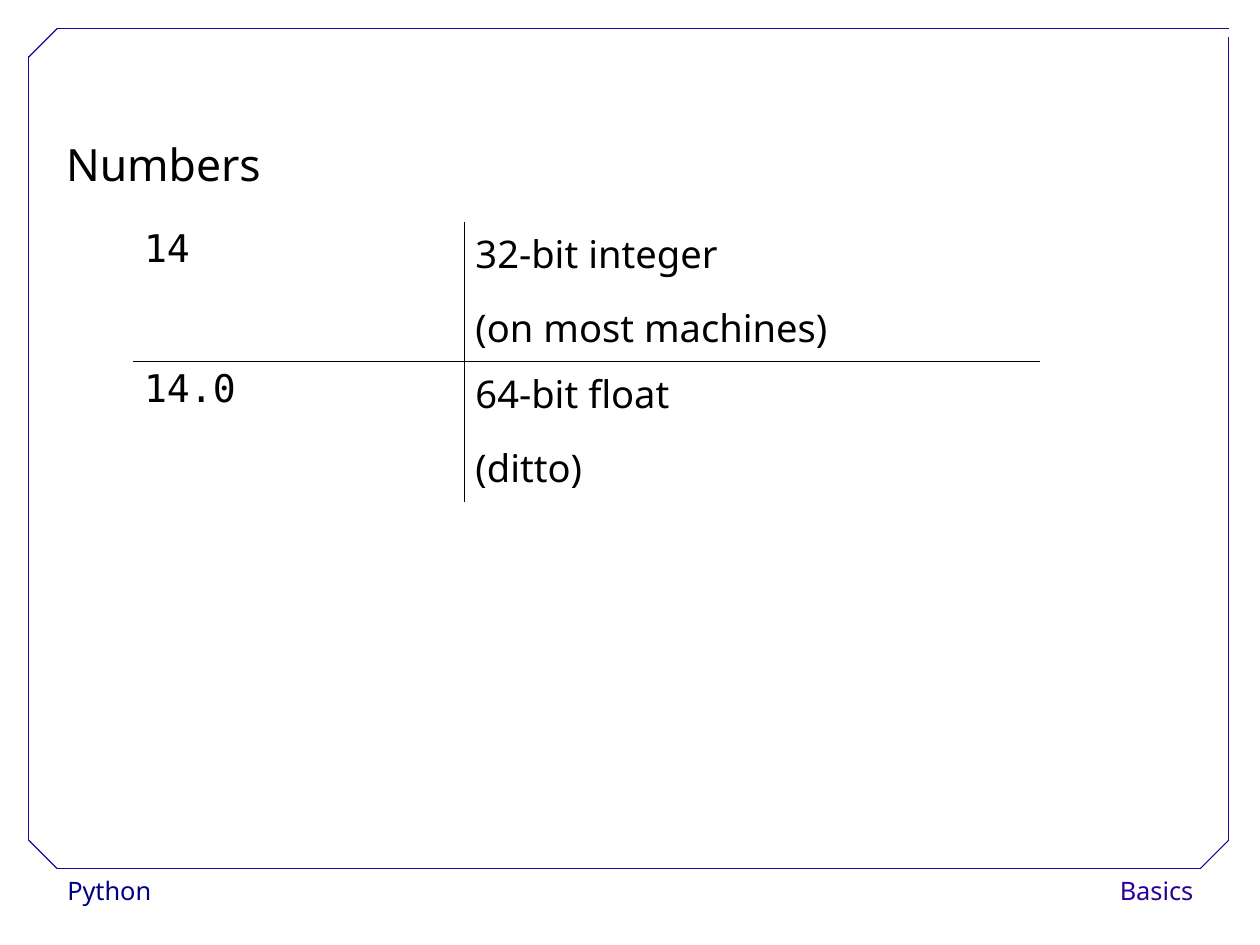
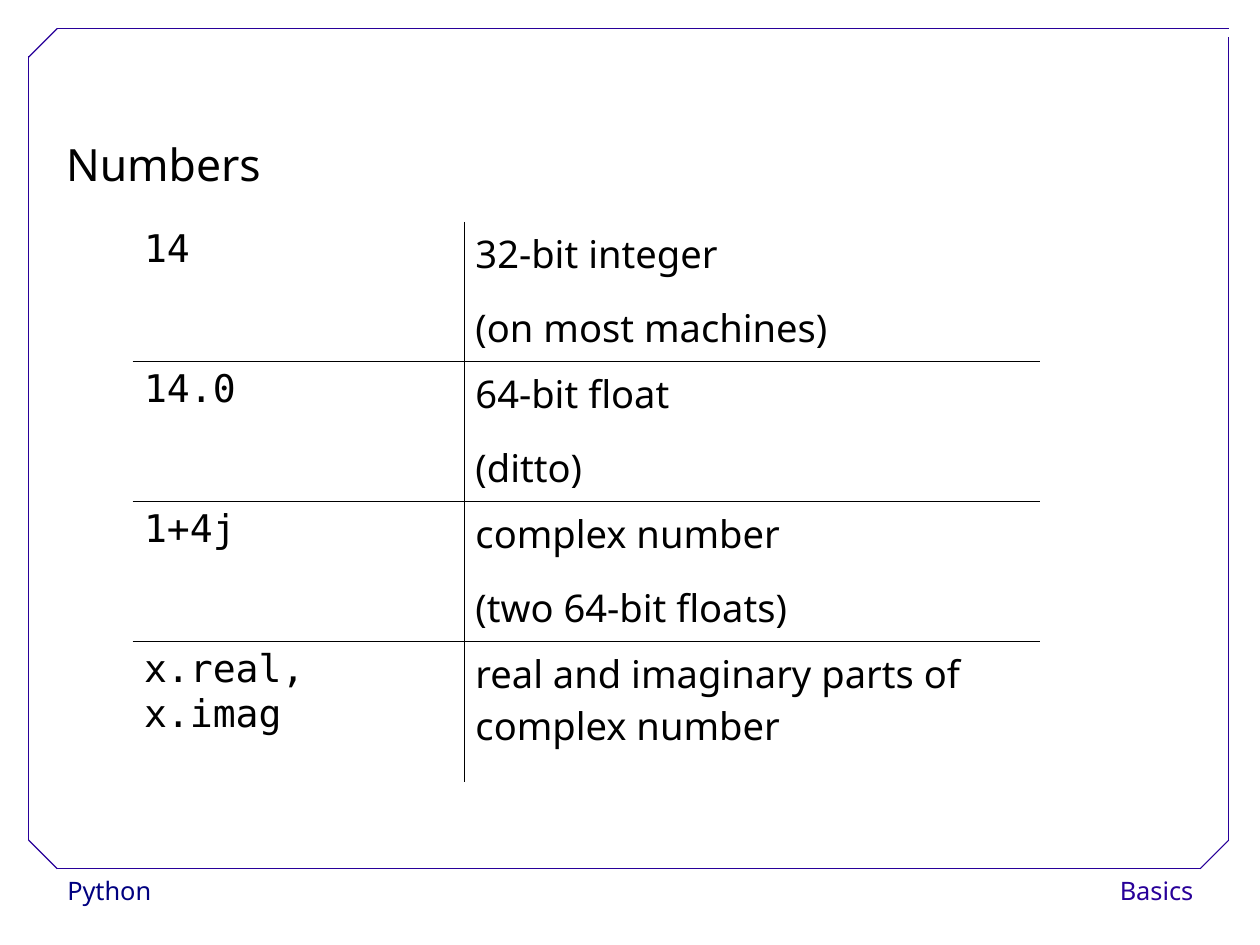
from lxml.etree import SubElement
from pptx import Presentation
from pptx.dml.color import RGBColor
from pptx.enum.shapes import MSO_CONNECTOR, MSO_SHAPE
from pptx.enum.text import MSO_ANCHOR, PP_ALIGN
from pptx.oxml import parse_xml
from pptx.oxml.ns import nsdecls, qn
from pptx.util import Inches, Pt

COLORS = {"ink": "000000", "paper": "FFFFFF", "frame": "280099", "course": "000080"}
SANS = "Noto Sans"
MONO = "DejaVu Sans Mono"
CM_PER_INCH = 2.54
COLUMN_WIDTHS = (2.9, 5.04)
ROW_HEIGHT = Inches(2.45) // 2

FRAME_LINES = (
    ((0.5, 7.6), (10.5, 7.6)),
    ((0.25, 7.35), (0.25, 0.49)),
    ((0.5, 0.25), (10.75, 0.25)),
    ((10.75, 7.35), (10.75, 0.32)),
    ((0.25, 0.5), (0.5, 0.25)),
    ((10.5, 7.6), (10.75, 7.35)),
    ((0.25, 7.35), (0.5, 7.6)),
)

NUMBER_ROWS = (
    ("14", "32-bit integer\n(on most machines)"),
    ("14.0", "64-bit float\n(ditto)"),
    ("1+4j", "complex number\n(two 64-bit floats)"),
    ("x.real, x.imag", "real and imaginary parts of complex number"),
)


def rgb(name):
    return RGBColor.from_string(COLORS[name])


def set_font(paragraph, size, color="ink", name=SANS):
    paragraph.font.size = Pt(size)
    paragraph.font.name = name
    paragraph.font.color.rgb = rgb(color)


def add_frame_line(slide, start, end):
    points = [Inches(value) for value in start + end]
    connector = slide.shapes.add_connector(MSO_CONNECTOR.STRAIGHT, *points)
    connector.line.color.rgb = rgb("frame")
    connector.line.width = Pt(0.75)
    SubElement(connector._element.spPr, qn("a:effectLst"))


def add_footer(slide, left, width, text, color, alignment):
    shape = slide.shapes.add_shape(
        MSO_SHAPE.RECTANGLE, Inches(left), Inches(7.6), Inches(width), Inches(0.4))
    shape.shadow.inherit = False
    shape.fill.solid()
    shape.fill.fore_color.rgb = rgb("paper")
    shape.line.fill.background()
    shape.text_frame.vertical_anchor = MSO_ANCHOR.TOP
    paragraph = shape.text_frame.paragraphs[0]
    paragraph.text = text
    paragraph.alignment = alignment
    paragraph.line_spacing = 1.02
    set_font(paragraph, 16, color)


def add_title(slide, text):
    box = slide.shapes.add_textbox(Inches(0.48), Inches(0.92), Inches(2.9), Inches(0.8))
    box.text_frame.word_wrap = True
    paragraph = box.text_frame.paragraphs[0]
    paragraph.text = text
    paragraph.line_spacing = 1.5
    set_font(paragraph, 28)


def set_borders(cell, visible):
    """Draw the edges named in visible (letters of LRTB) and clear the others."""
    properties = cell._tc.get_or_add_tcPr()
    for position, edge in enumerate("LRTB"):
        fill = "<a:noFill/>"
        if edge in visible:
            fill = f'<a:solidFill><a:srgbClr val="{COLORS["ink"]}"/></a:solidFill>'
        border = parse_xml(f'<a:ln{edge} {nsdecls("a")} w="{Pt(0.45)}">{fill}</a:ln{edge}>')
        properties.insert(position, border)


def fill_cell(cell, text, font_name, borders):
    cell.fill.background()
    set_borders(cell, borders)
    cell.margin_left = cell.margin_right = Inches(0.1)
    cell.margin_top = cell.margin_bottom = Inches(0.05)
    cell.text = text
    for paragraph in cell.text_frame.paragraphs:
        paragraph.space_after = Pt(14)
        set_font(paragraph, 24, name=font_name)


def add_number_table(slide, rows):
    """Add a table of literals and meanings with inner rules only."""
    table = slide.shapes.add_table(
        len(rows), len(COLUMN_WIDTHS), Inches(1.16), Inches(1.94),
        Inches(sum(COLUMN_WIDTHS)), ROW_HEIGHT * len(rows)).table
    table.first_row = table.horz_banding = False
    for column, width in zip(table.columns, COLUMN_WIDTHS):
        column.width = Inches(width)
    for index, (literal, meaning) in enumerate(rows):
        table.rows[index].height = ROW_HEIGHT
        rules = ("T" if index > 0 else "") + ("B" if index < len(rows) - 1 else "")
        fill_cell(table.cell(index, 0), literal, MONO, "R" + rules)
        fill_cell(table.cell(index, 1), meaning, SANS, "L" + rules)


def add_numbers_slide(presentation, rows):
    slide = presentation.slides.add_slide(presentation.slide_layouts[6])
    add_footer(slide, 0.49, 2.15, "Python", "course", PP_ALIGN.LEFT)
    add_footer(slide, 9.14, 1.4, "Basics", "frame", PP_ALIGN.RIGHT)
    for start, end in FRAME_LINES:
        add_frame_line(slide, start, end)
    add_title(slide, "Numbers")
    add_number_table(slide, rows)


def main():
    presentation = Presentation()
    presentation.slide_width = Inches(28 / CM_PER_INCH)
    presentation.slide_height = Inches(21 / CM_PER_INCH)
    for row_count in (2, 4):
        add_numbers_slide(presentation, NUMBER_ROWS[:row_count])
    presentation.save("out.pptx")


if __name__ == "__main__":
    main()
